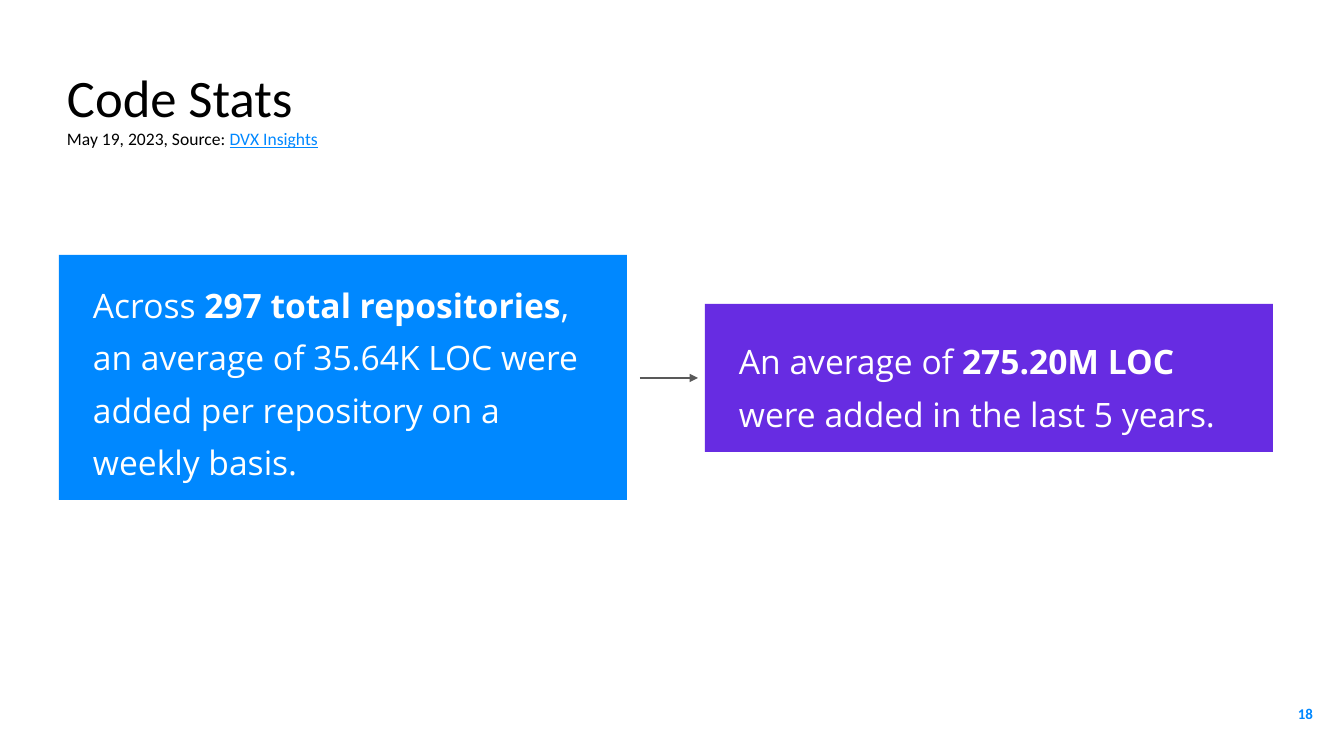
from lxml import etree
from pptx import Presentation
from pptx.dml.color import RGBColor
from pptx.enum.shapes import MSO_CONNECTOR, MSO_SHAPE
from pptx.enum.text import MSO_ANCHOR, PP_ALIGN
from pptx.oxml.ns import qn
from pptx.util import Inches, Pt

W, H = 1344, 756
SCALE = Inches(20) / W

BLACK = RGBColor(0x00, 0x00, 0x00)
WHITE = RGBColor(0xFF, 0xFF, 0xFF)
BLUE = RGBColor(0x00, 0x88, 0xFF)
PURPLE = RGBColor(0x67, 0x2C, 0xE2)
GREY = RGBColor(0x59, 0x59, 0x59)

HEAD_FONT, BODY_FONT = "Calibri", "Open Sans"


def px(n):
    return round(n * SCALE)


def add_run(p, text, font, size, color, bold=False, underline=False):
    r = p.add_run()
    r.text = text
    f = r.font
    f.name, f.size, f.bold, f.underline = font, Pt(size), bold, underline
    f.color.rgb = color


def set_frame(shape, insets, anchor):
    """Wrap the text, set its left, top, right and bottom insets and its anchor."""
    tf = shape.text_frame
    tf.word_wrap = True
    tf.margin_left, tf.margin_top, tf.margin_right, tf.margin_bottom = map(px, insets)
    tf.vertical_anchor = anchor
    return tf


def add_heading(s, box):
    tb = s.shapes.add_textbox(*map(px, box))
    tf = set_frame(tb, (0, 0, 0, 0), MSO_ANCHOR.TOP)
    add_run(tf.paragraphs[0], "Code Stats", HEAD_FONT, 56.4, BLACK)
    p = tf.add_paragraph()
    add_run(p, "May 19, 2023, Source: ", HEAD_FONT, 18.8, BLACK)
    add_run(p, "DVX Insights", HEAD_FONT, 18.8, BLUE, underline=True)


def add_stat(s, box, fill, bottom_inset, parts):
    """Filled panel holding one sentence of (text, bold) parts."""
    sp = s.shapes.add_shape(MSO_SHAPE.RECTANGLE, *map(px, box))
    sp.shadow.inherit = False
    sp.fill.solid()
    sp.fill.fore_color.rgb = fill
    sp.line.fill.background()
    tf = set_frame(sp, (34, 7, 34, bottom_inset), MSO_ANCHOR.MIDDLE)
    p = tf.paragraphs[0]
    p.alignment = PP_ALIGN.LEFT
    p.line_spacing = 1.3
    for text, bold in parts:
        add_run(p, text, BODY_FONT, 36, WHITE, bold)


def add_arrow(s, x1, x2, y):
    c = s.shapes.add_connector(MSO_CONNECTOR.STRAIGHT, px(x1), px(y), px(x2), px(y))
    c.line.color.rgb = GREY
    c.line.width = Pt(3)
    etree.SubElement(c.line._get_or_add_ln(), qn("a:tailEnd"), type="triangle")
    etree.SubElement(c._element.spPr, qn("a:effectLst"))


def add_page_number(s, box, number):
    tb = s.shapes.add_textbox(*map(px, box))
    tf = set_frame(tb, (13, 13, 13, 13), MSO_ANCHOR.MIDDLE)
    p = tf.paragraphs[0]
    p.alignment = PP_ALIGN.RIGHT
    add_run(p, number, HEAD_FONT, 16, BLUE, bold=True)


def main():
    prs = Presentation()
    prs.slide_width, prs.slide_height = px(W), px(H)
    s = prs.slides.add_slide(prs.slide_layouts[6])

    add_heading(s, (67, 65, 1253, 84))
    add_stat(s, (59, 255, 568, 245), BLUE, 7, [
        ("Across ", False),
        ("297 total repositories", True),
        (", an average of 35.64K LOC were added per repository on a weekly basis.", False),
    ])
    add_stat(s, (705, 304, 568, 148), PURPLE, 0, [
        ("An average of ", False),
        ("275.20M LOC ", True),
        ("were added in the last 5 years.", False),
    ])
    add_page_number(s, (1245, 685, 81, 58), "18")
    add_arrow(s, 640, 698, 378)

    prs.save("out.pptx")


if __name__ == "__main__":
    main()
